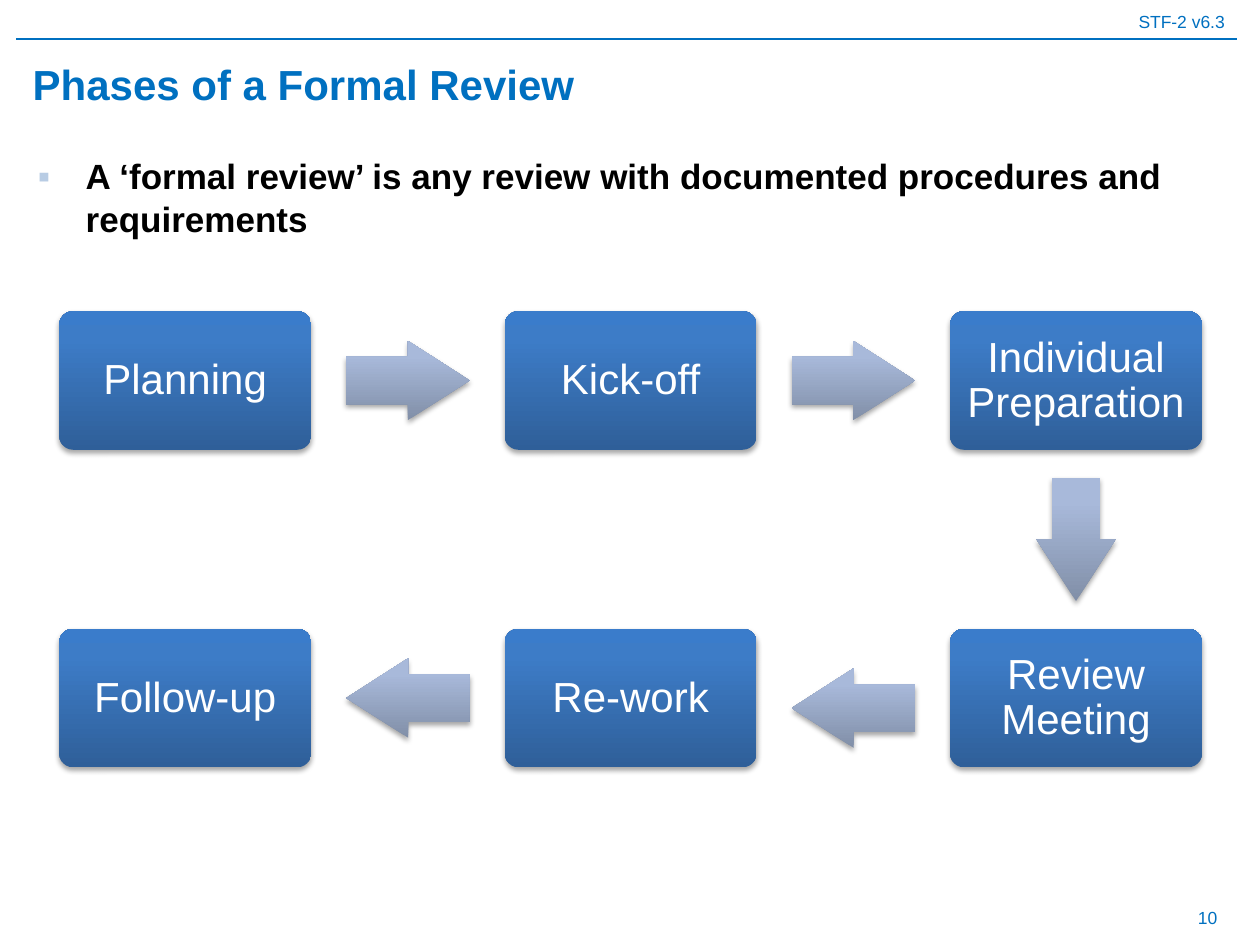
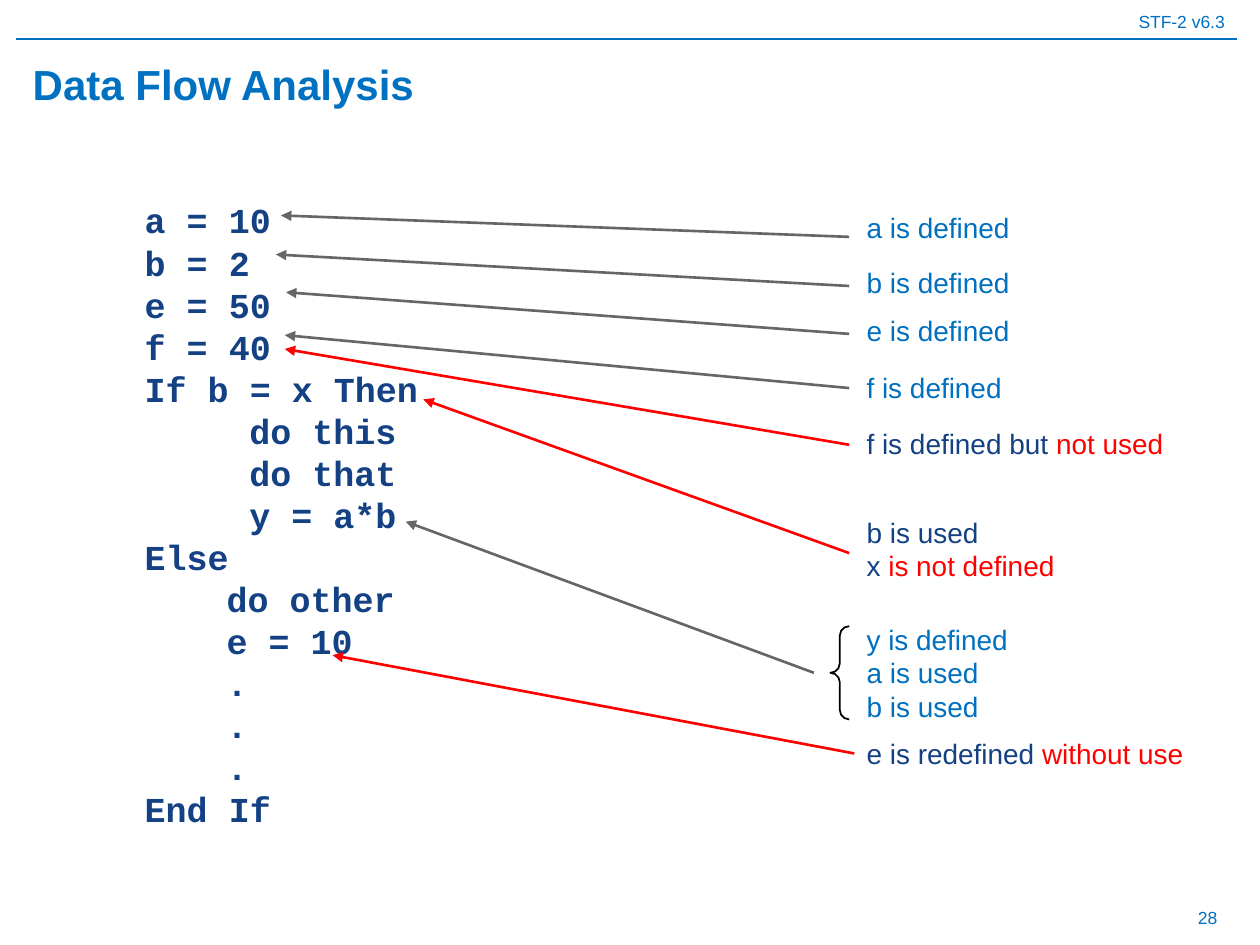
from pptx import Presentation
from pptx.dml.color import RGBColor
from pptx.enum.shapes import MSO_CONNECTOR, MSO_SHAPE
from pptx.enum.text import MSO_ANCHOR, PP_ALIGN
from pptx.oxml import parse_xml
from pptx.oxml.ns import nsdecls
from pptx.util import Inches, Pt

BLUE = RGBColor(0x00, 0x70, 0xC0)
NAVY = RGBColor(0x13, 0x41, 0x83)
RED = RGBColor(0xFF, 0x00, 0x00)
GREY = RGBColor(0x66, 0x66, 0x66)
BLACK = RGBColor(0x00, 0x00, 0x00)
WHITE = RGBColor(0xFF, 0xFF, 0xFF)
BULLET = RGBColor(0xB8, 0xCC, 0xE4)
# Gradient stops from bottom to top: percent and colour
STEP_FILL = ((0, RGBColor(0x2F, 0x5F, 0x99)), (80, RGBColor(0x3D, 0x7C, 0xC7)),
             (100, RGBColor(0x3A, 0x7C, 0xCB)))
ARROW_FILL = ((0, RGBColor(0x81, 0x8F, 0xA8)), (80, RGBColor(0xA8, 0xB9, 0xDA)),
              (100, RGBColor(0xA7, 0xBA, 0xDC)))
LINE_PITCH = 1.2
TITLE_BOX = (0.16, 0.39, 9.61, 0.55)
BODY_BOX = (0.2, 1.18, 9.65, 5.91)


def inches(values):
    return [Inches(value) for value in values]


def write(frame, paras, size=16, color=BLUE, font="Arial", bold=False,
          align=PP_ALIGN.LEFT, anchor=MSO_ANCHOR.TOP, pitch=LINE_PITCH):
    """Fill a frame; a paragraph is a string or a list of (text, colour) spans."""
    frame.word_wrap = True
    frame.vertical_anchor = anchor
    for index, spans in enumerate(paras):
        para = frame.add_paragraph() if index else frame.paragraphs[0]
        para.alignment = align
        para.line_spacing = Pt(size * pitch)
        if isinstance(spans, str):
            spans = [(spans, color)]
        for text, span_color in spans:
            span = para.add_run()
            span.text = text
            span.font.name = font
            span.font.size = Pt(size)
            span.font.bold = bold
            span.font.color.rgb = span_color


def add_text(page, box, paras, **text_format):
    frame = page.shapes.add_textbox(*inches(box)).text_frame
    write(frame, paras, **text_format)
    return frame


def indent(para, left, first=0):
    props = para._p.get_or_add_pPr()
    props.set("marL", str(Inches(left)))
    props.set("indent", str(Inches(first)))
    return props


def add_line(page, start, end, color, width, arrow=False):
    line = page.shapes.add_connector(MSO_CONNECTOR.STRAIGHT, *inches(start + end))
    line.line.color.rgb = color
    line.line.width = Pt(width)
    if arrow:
        line.line._get_or_add_ln().append(
            parse_xml(f'<a:tailEnd {nsdecls("a")} type="triangle"/>'))
    line._element.spPr.append(parse_xml(f'<a:effectLst {nsdecls("a")}/>'))


def add_raised(page, preset, box, stops, adjustments):
    """Add a borderless shape with a vertical gradient and a soft shadow."""
    shape = page.shapes.add_shape(preset, *inches(box))
    for index, value in enumerate(adjustments):
        shape.adjustments[index] = value
    shape.line.fill.background()
    marks = "".join(f'<a:gs pos="{percent * 1000}"><a:srgbClr val="{color}"/></a:gs>'
                    for percent, color in stops)
    shape.line._get_or_add_ln().addprevious(parse_xml(
        f'<a:gradFill {nsdecls("a")} rotWithShape="1"><a:gsLst>{marks}</a:gsLst>'
        '<a:lin ang="16200000" scaled="0"/></a:gradFill>'))
    shape._element.spPr.append(parse_xml(
        f'<a:effectLst {nsdecls("a")}><a:outerShdw blurRad="{Pt(3.1)}" dist="{Pt(1.8)}" '
        'dir="5400000" rotWithShape="0"><a:srgbClr val="000000"><a:alpha val="35000"/>'
        '</a:srgbClr></a:outerShdw></a:effectLst>'))
    return shape


def place(holder, box):
    holder.left, holder.top, holder.width, holder.height = inches(box)
    return holder.text_frame


def add_page(deck, layout, title, number):
    """Start a slide with the shared header, title and page number."""
    page = deck.slides.add_slide(deck.slide_layouts.get_by_name(layout))
    header = add_text(page, (0, 0.04, 10, 0.27), ["STF-2 v6.3"], size=10,
                      align=PP_ALIGN.RIGHT)
    header.margin_right = Inches(0.28)
    add_line(page, (0.13, 0.31), (9.82, 0.31), BLUE, 0.75)
    add_text(page, (7.43, 7.09, 2.33, 0.39), [number], size=10,
             align=PP_ALIGN.RIGHT, anchor=MSO_ANCHOR.MIDDLE)
    write(place(page.shapes.title, TITLE_BOX), [title], size=24, bold=True,
          anchor=MSO_ANCHOR.MIDDLE)
    return page


def add_bullet(page, box, text):
    frame = place(page.placeholders[1], box)
    write(frame, [text], size=20, color=BLACK, bold=True)
    props = indent(frame.paragraphs[0], 0.38, -0.38)
    for mark in (f'<a:buClr {nsdecls("a")}><a:srgbClr val="{BULLET}"/></a:buClr>',
                 f'<a:buFont {nsdecls("a")} typeface="Arial"/>',
                 f'<a:buChar {nsdecls("a")} char="▪"/>'):
        props.append(parse_xml(mark))


def add_phase_flow(page, left, top):
    """Lay six phases out as a snake: right, down, then back left."""
    step_width, step_height = 2, 1.1
    column_pitch, row_pitch = 3.535, 2.52
    length, breadth = 0.98, 0.63
    phases = (("Planning", 0, 0), ("Kick-off", 1, 0), ("Individual Preparation", 2, 0),
              ("Review Meeting", 2, 1), ("Re-work", 1, 1), ("Follow-up", 0, 1))
    for name, column, row in phases:
        box = (left + column * column_pitch, top + row * row_pitch, step_width, step_height)
        step = add_raised(page, MSO_SHAPE.ROUNDED_RECTANGLE, box, STEP_FILL, [0.1])
        frame = step.text_frame
        frame.margin_left = frame.margin_right = Inches(0.08)
        frame.margin_top = frame.margin_bottom = Inches(0.08)
        write(frame, [name], size=24, color=WHITE, align=PP_ALIGN.CENTER,
              anchor=MSO_ANCHOR.MIDDLE, pitch=0.9 * LINE_PITCH)

    arrow_left = left + (step_width + column_pitch - length) / 2
    arrow_top = top + (step_height - breadth) / 2
    down_left = left + 2 * column_pitch + (step_width - breadth) / 2
    down_top = top + (step_height + row_pitch - length) / 2
    arrows = (
        (MSO_SHAPE.RIGHT_ARROW, arrow_left, arrow_top, length, breadth),
        (MSO_SHAPE.RIGHT_ARROW, arrow_left + column_pitch, arrow_top, length, breadth),
        (MSO_SHAPE.DOWN_ARROW, down_left, down_top, breadth, length),
        (MSO_SHAPE.LEFT_ARROW, arrow_left + column_pitch, arrow_top + row_pitch + 0.08,
         length, breadth),
        (MSO_SHAPE.LEFT_ARROW, arrow_left, arrow_top + row_pitch, length, breadth),
    )
    for preset, *box in arrows:
        add_raised(page, preset, box, ARROW_FILL, [0.6, 0.78])


def add_code(page, box):
    then_indent, else_indent = 0.83, 0.65
    code = (("a = 10", 0), ("b = 2", 0), ("e = 50", 0), ("f = 40", 0),
            ("If b = x Then", 0), ("do this", then_indent), ("do that", then_indent),
            ("y = a*b", then_indent), ("Else", 0), ("do other", else_indent),
            ("e = 10", else_indent), (".", else_indent), (".", else_indent),
            (".", else_indent), ("End If", 0))
    frame = add_text(page, box, [text for text, _ in code], size=20, color=NAVY,
                     font="Courier New", bold=True)
    for para, (_, left) in zip(frame.paragraphs, code):
        indent(para, left)


def add_findings(page, left, width):
    """Place each finding with an arrow to the code it is about."""
    tip = left - 0.04
    findings = (
        (1.62, ["a is defined"], (tip, 1.88), (2.23, 1.71), GREY),
        (2.06, ["b is defined"], (tip, 2.27), (2.19, 2.02), GREY),
        (2.44, ["e is defined"], (tip, 2.65), (2.27, 2.32), GREY),
        (2.89, ["f is defined"], (tip, 3.08), (2.26, 2.66), GREY),
        (3.34, [[("f is defined but ", NAVY), ("not used", RED)]],
         (tip, 3.53), (2.26, 2.77), RED),
        (4.04, [[("b is used", NAVY)], [("x ", NAVY), ("is not defined", RED)]],
         (tip, 4.39), (3.36, 3.17), RED),
        (4.89, ["y is defined", "a is used", "b is used"],
         (left - 0.32, 5.34), (3.22, 4.14), GREY),
        (5.8, [[("e is redefined ", NAVY), ("without use", RED)]],
         (left, 5.98), (2.64, 5.2), RED),
    )
    for top, paras, start, end, color in findings:
        add_text(page, (left, top, width, 0.1 + 0.27 * len(paras)), paras)
        add_line(page, start, end, color, 1.5, arrow=True)

    brace = page.shapes.add_shape(MSO_SHAPE.LEFT_BRACE, *inches((left - 0.19, 4.97, 0.15, 0.74)))
    brace.adjustments[0] = brace.adjustments[1] = 0.5
    brace.shadow.inherit = False
    brace.fill.background()
    brace.line.color.rgb = BLACK
    brace.line.width = Pt(1)


def main():
    deck = Presentation()
    deck.slide_width, deck.slide_height = Inches(10), Inches(7.5)

    review = add_page(deck, "Title and Content", "Phases of a Formal Review", "10")
    add_bullet(review, BODY_BOX,
               "A ‘formal review’ is any review with documented procedures and requirements")
    add_phase_flow(review, 0.47, 2.47)

    data_flow = add_page(deck, "Title Only", "Data Flow Analysis", "28")
    add_code(data_flow, (1.05, 1.53, 3.08, 5.15))
    add_findings(data_flow, 6.78, 3.03)

    deck.save("out.pptx")


if __name__ == "__main__":
    main()
